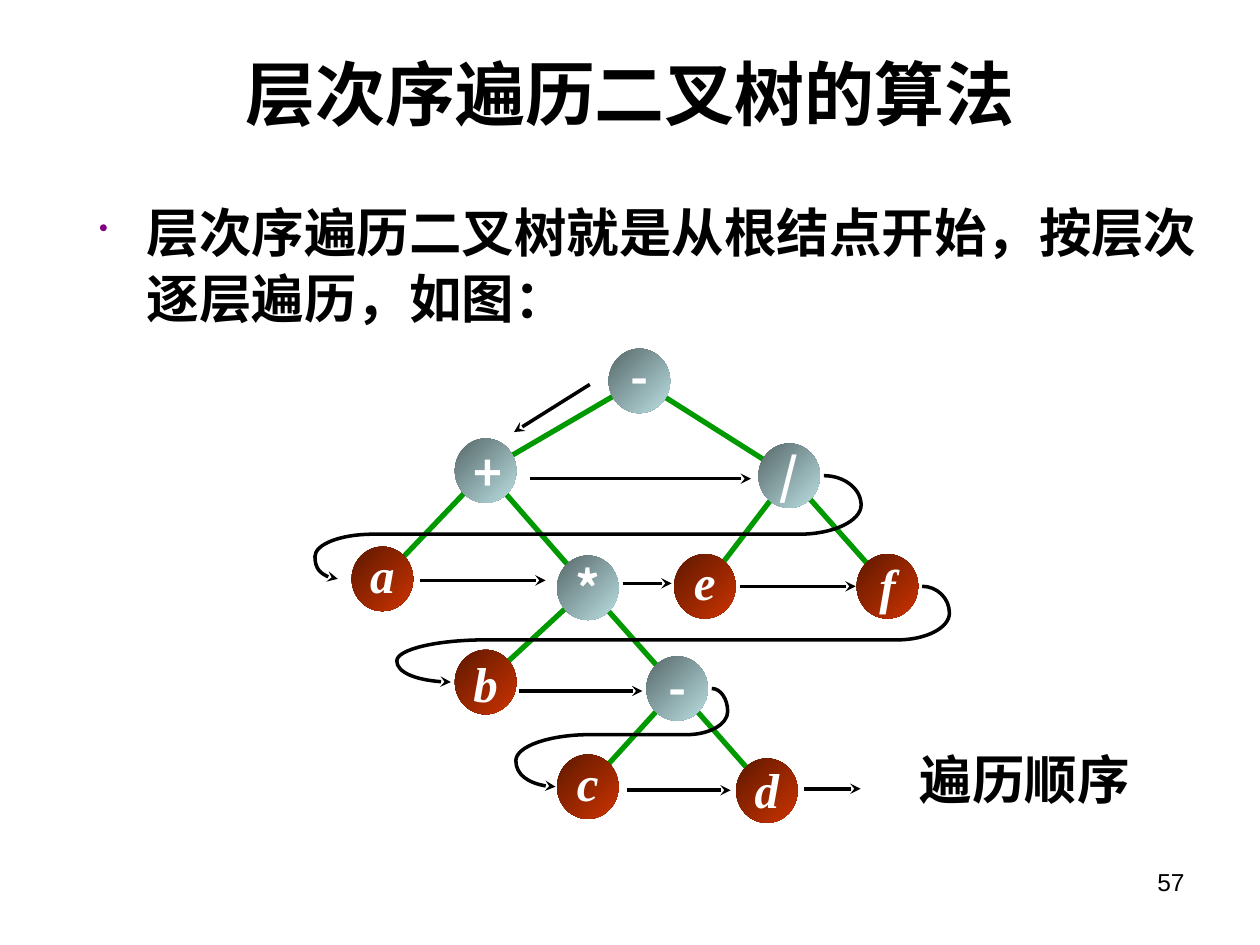
from math import hypot
from typing import NamedTuple

from pptx import Presentation
from pptx.dml.color import RGBColor
from pptx.enum.shapes import MSO_CONNECTOR, MSO_SHAPE
from pptx.enum.text import MSO_ANCHOR, PP_ALIGN
from pptx.oxml.ns import qn
from pptx.util import Cm, Pt
from lxml.etree import SubElement


class Node(NamedTuple):
    label: str
    x: float
    y: float
    label_shift: float


class LevelArrow(NamedTuple):
    source: str
    target: str
    gap_out: float
    gap_in: float
    y: float


class LevelReturn(NamedTuple):
    source: str
    target: str
    right: float
    lane: float
    left: float
    gap_in: float


THEME = {
    "black": "000000", "white": "FFFFFF", "edge": "009900", "bullet": "800080",
    "operator": ("576869", "BBE0E3"), "operand": ("5E1800", "CC3300"),
    "sans": "Arial", "serif": "Times New Roman", "chinese": "Noto Sans CJK SC",
    "title_size": 40, "body_size": 30, "node_size": 28, "number_size": 14,
    "edge_width": 3, "arrow_width": 2,
}

TITLE = {"text": "层次序遍历二叉树的算法", "box": (1.27, 0.76, 22.86, 2.21),
         "size": "title_size", "font": "sans", "anchor": MSO_ANCHOR.MIDDLE,
         "layout": {"alignment": PP_ALIGN.CENTER}}
STATEMENT = {"text": "层次序遍历二叉树就是从根结点开始，按层次逐层遍历，如图：",
             "box": (1.75, 3.84, 22.86, 10.8), "size": "body_size", "font": "serif",
             "layout": {"line_spacing": 1.05, "space_before": Pt(7.5)}}
CAPTION = {"text": "遍历顺序", "box": (18.29, 14.94, 5.72, 1.52),
           "size": "body_size", "font": "serif"}
PAGE_NUMBER = {"text": "57", "box": (18.21, 17.35, 5.92, 1.32), "size": "number_size",
               "font": "sans", "bold": False, "layout": {"alignment": PP_ALIGN.RIGHT}}

NODES = {
    "root": Node("-", 12.89, 7.68, -0.1),
    "plus": Node("+", 9.79, 9.49, 0.03),
    "divide": Node("/", 15.91, 9.59, 0),
    "a": Node("a", 7.71, 11.67, -0.1),
    "times": Node("*", 11.85, 11.85, 0),
    "e": Node("e", 14.21, 11.82, -0.1),
    "f": Node("f", 17.89, 11.82, -0.03),
    "b": Node("b", 9.79, 13.75, 0.03),
    "minus": Node("-", 13.65, 13.88, -0.03),
    "c": Node("c", 11.85, 15.86, -0.08),
    "d": Node("d", 15.46, 15.94, -0.03),
}
CHILDREN = {
    "root": ("plus", "divide"), "plus": ("a", "times"), "divide": ("e", "f"),
    "times": ("b", "minus"), "minus": ("c", "d"),
}

LEVEL_ARROWS = [
    LevelArrow("plus", "divide", 0.28, 0.15, 9.65),
    LevelArrow("a", "times", 0.13, 0.23, 11.7),
    LevelArrow("times", "e", 0.08, 0.05, 11.76),
    LevelArrow("e", "f", 0.08, 0.02, 11.82),
    LevelArrow("b", "minus", 0.05, 0.08, 13.93),
    LevelArrow("c", "d", 0.18, 0.11, 15.93),
]
LEVEL_RETURNS = [
    LevelReturn("divide", "a", 17.36, 10.77, 6.35, 0.28),
    LevelReturn("f", "b", 19.14, 12.9, 8, 0.08),
    LevelReturn("minus", "c", 14.67, 14.81, 10.4, 0.03),
]
FIRST_ARROW = (11.89, 7.75, 10.36, 8.71)
LAST_ARROW = (16.21, 15.9, 17.35, 15.9)

NODE_SIZE = (1.24, 1.3)
NODE_RADIUS = NODE_SIZE[0] / 2
LABEL_SIZE = (1, 1.45)
EDGE_TRIM = 0.46
RETURN_GAP, RIGHT_TURN, LEFT_TURN = 0.08, 0.5, 0.7
ROUNDNESS = 0.55


def apply(target, values):
    for name, value in values.items():
        setattr(target, name, value)


def color(name):
    return RGBColor.from_string(THEME[name])


def centered_box(x, y, size):
    width, height = size
    return x - width / 2, y - height / 2, width, height


def between(start, end, ratio):
    return tuple(a + (b - a) * ratio for a, b in zip(start, end))


def add_text(slide, text, box, size, font, bold=True, italic=False, ink="black",
             layout={}, anchor=MSO_ANCHOR.TOP, wrap=True):
    frame = slide.shapes.add_textbox(*map(Cm, box)).text_frame
    apply(frame, {"word_wrap": wrap, "vertical_anchor": anchor})
    paragraph = frame.paragraphs[0]
    apply(paragraph, layout)
    run = paragraph.add_run()
    run.text = text
    apply(run.font, {"size": Pt(THEME[size]), "name": THEME[font], "bold": bold, "italic": italic})
    run.font.color.rgb = color(ink)
    SubElement(run.font._element, qn("a:ea"), typeface=THEME["chinese"])
    return paragraph


def add_bullet(paragraph):
    properties = paragraph._p.get_or_add_pPr()
    apply_indent = {"marL": Cm(0.96), "indent": Cm(-0.96)}
    for name, length in apply_indent.items():
        properties.set(name, str(length))
    SubElement(SubElement(properties, qn("a:buClr")), qn("a:srgbClr"), val=THEME["bullet"])
    SubElement(properties, qn("a:buSzPct"), val="50000")
    SubElement(properties, qn("a:buChar"), char="•")


def style_line(shape, ink, width):
    shape.line.color.rgb = color(ink)
    shape.line.width = Pt(THEME[width])


def add_arrowhead(shape):
    SubElement(shape.line._get_or_add_ln(), qn("a:tailEnd"), type="stealth")


def add_line(slide, ends, ink, width):
    connector = slide.shapes.add_connector(MSO_CONNECTOR.STRAIGHT, *map(Cm, ends))
    style_line(connector, ink, width)
    SubElement(connector._element.spPr, qn("a:effectLst"))
    return connector


def add_edge(slide, parent, child):
    start, end = (parent.x, parent.y), (child.x, child.y)
    trim = EDGE_TRIM / hypot(child.x - parent.x, child.y - parent.y)
    add_line(slide, between(start, end, trim) + between(end, start, trim), "edge", "edge_width")


def add_node(slide, node):
    operand = node.label.isalpha()
    shape = slide.shapes.add_shape(MSO_SHAPE.OVAL, *map(Cm, centered_box(node.x, node.y, NODE_SIZE)))
    shape.shadow.inherit = False
    shape.line.fill.background()
    shape.fill.gradient()
    shape.fill.gradient_angle = 315
    shades = THEME["operand" if operand else "operator"]
    for stop, shade, position in zip(shape.fill.gradient_stops, shades, (0, 1)):
        apply(stop, {"position": position})
        stop.color.rgb = RGBColor.from_string(shade)
    add_text(slide, node.label, centered_box(node.x, node.y + node.label_shift, LABEL_SIZE),
             "node_size", "serif" if operand else "chinese", italic=operand, ink="white",
             layout={"alignment": PP_ALIGN.CENTER}, wrap=False)


def add_level_arrow(slide, arrow):
    start = NODES[arrow.source].x + NODE_RADIUS + arrow.gap_out
    end = NODES[arrow.target].x - NODE_RADIUS - arrow.gap_in
    add_arrowhead(add_line(slide, (start, arrow.y, end, arrow.y), "black", "arrow_width"))


def rounded_turn(start, corner, end):
    return [between(start, corner, ROUNDNESS), between(end, corner, ROUNDNESS), end]


def return_curve(link):
    source, target = NODES[link.source], NODES[link.target]
    start = (source.x + NODE_RADIUS + RETURN_GAP, source.y)
    end = (target.x - NODE_RADIUS - link.gap_in, target.y)
    right_side = (link.right, (start[1] + link.lane) / 2)
    lane_start = (start[0] - RIGHT_TURN, link.lane)
    lane_end = (end[0] + LEFT_TURN, link.lane)
    left_side = (link.left, (link.lane + end[1]) / 2)
    return [start,
            *rounded_turn(start, (link.right, start[1]), right_side),
            *rounded_turn(right_side, (link.right, link.lane), lane_start),
            *rounded_turn(lane_start, between(lane_start, lane_end, 0.5), lane_end),
            *rounded_turn(lane_end, (link.left, link.lane), left_side),
            *rounded_turn(left_side, (link.left, end[1]), end)]


def add_curve(slide, points):
    start, *others = [(Cm(x), Cm(y)) for x, y in points]
    builder = slide.shapes.build_freeform(*start)
    builder.add_line_segments(others, close=False)
    shape = builder.convert_to_shape()
    shape.shadow.inherit = False
    shape.fill.background()
    style_line(shape, "black", "arrow_width")
    add_arrowhead(shape)
    segments = list(shape._element.iter(qn("a:lnTo")))
    outline = segments[0].getparent()
    for index in range(0, len(segments), 3):
        bezier = SubElement(outline, qn("a:cubicBezTo"))
        for segment in segments[index:index + 3]:
            bezier.append(segment[0])
            outline.remove(segment)


def main():
    """Build the slide on level-order traversal of a binary tree."""
    presentation = Presentation()
    apply(presentation, {"slide_width": Cm(25.4), "slide_height": Cm(19.05)})
    slide = presentation.slides.add_slide(presentation.slide_layouts[6])
    add_bullet(add_text(slide, **STATEMENT))
    for text in (TITLE, CAPTION, PAGE_NUMBER):
        add_text(slide, **text)
    for parent, children in CHILDREN.items():
        for child in children:
            add_edge(slide, NODES[parent], NODES[child])
    for node in NODES.values():
        add_node(slide, node)
    for ends in (FIRST_ARROW, LAST_ARROW):
        add_arrowhead(add_line(slide, ends, "black", "arrow_width"))
    for arrow in LEVEL_ARROWS:
        add_level_arrow(slide, arrow)
    for link in LEVEL_RETURNS:
        add_curve(slide, return_curve(link))
    presentation.save("out.pptx")


if __name__ == "__main__":
    main()
